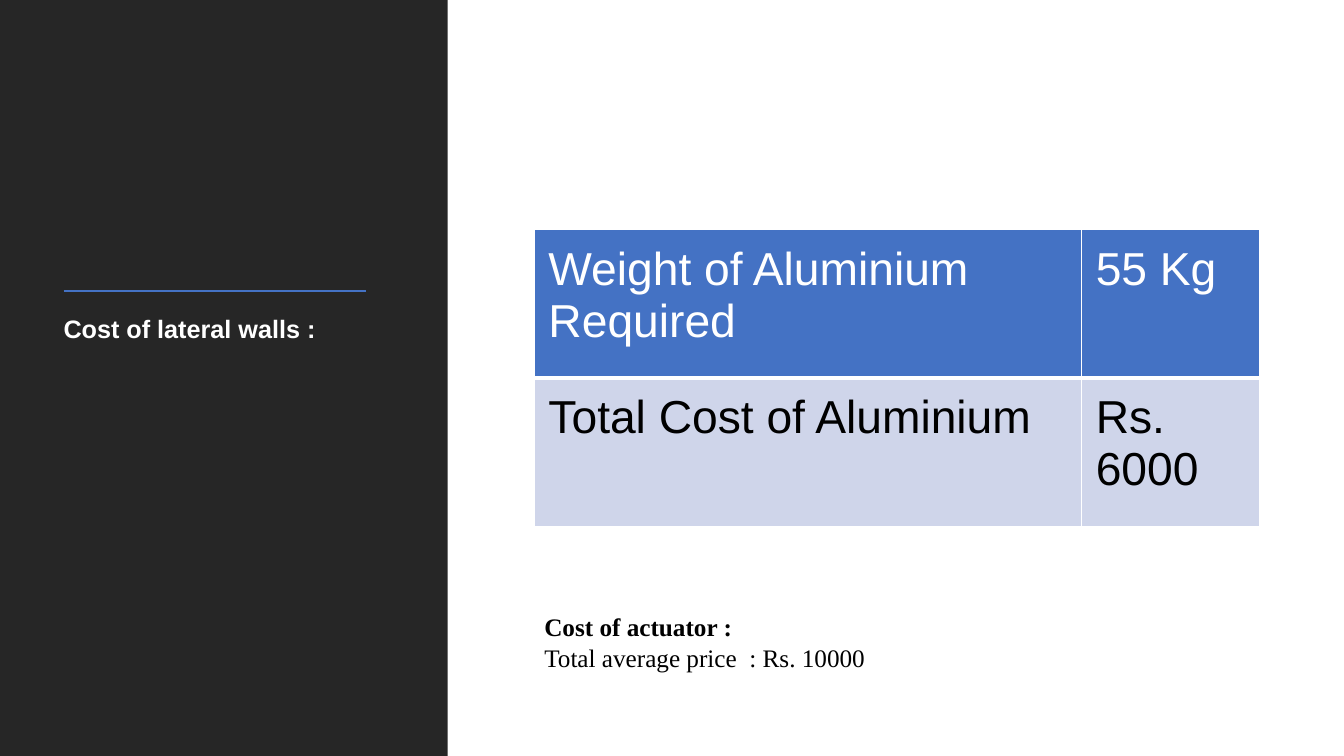
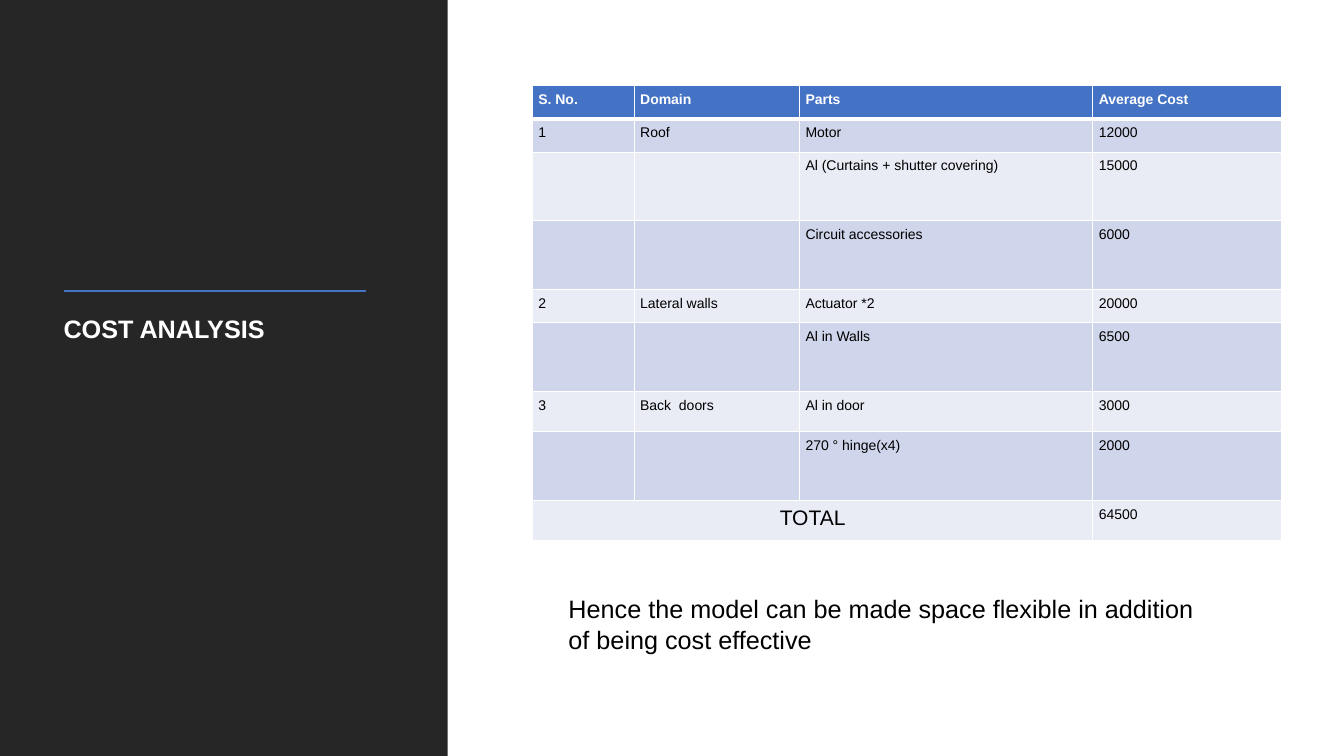
from lxml import etree
from pptx import Presentation, util as u
from pptx.dml.color import RGBColor
from pptx.enum import shapes, text
from pptx.oxml.ns import qn

W, H = 13.33, 7.5
SLIDE = (0, 0, W, H)
SANS, SERIF = "Arial", "Times New Roman"
NBSP = chr(160)
COLORS = {
    "panel": "262626", "accent": "4472C4", "white": "FFFFFF", "black": "000000",
    "band_dark": "CFD5EA", "band_light": "E9EBF5",
}


def rgb(name):
    return RGBColor.from_string(COLORS[name])


def within(box, x, y, w, h):
    """Box in inches from percentages of a parent box."""
    left, top, width, height = box
    return (left + width * x / 100, top + height * y / 100,
            width * w / 100, height * h / 100)


def emu(box):
    return [u.Inches(v) for v in box]


def style(p, size, color="black", bold=False, font=SANS):
    p.font.size, p.font.name, p.font.bold = u.Pt(size), font, bold
    p.font.color.rgb = rgb(color)


def add_text(s, box, lines, size=18, color="black", font=SANS,
             bold_first=False, side_inset=0.1):
    tf = s.shapes.add_textbox(*emu(box)).text_frame
    tf.word_wrap = True
    tf.margin_left = tf.margin_right = u.Inches(side_inset)
    for i, line in enumerate(lines):
        p = tf.add_paragraph() if i else tf.paragraphs[0]
        p.text = line
        style(p, size, color, bold_first and i == 0, font)


def add_panel(s, box, title):
    """Dark side panel with a rule above the title."""
    sp = s.shapes.add_shape(shapes.MSO_SHAPE.RECTANGLE, *emu(box))
    sp.shadow.inherit = False
    sp.fill.solid()
    sp.fill.fore_color.rgb = rgb("panel")
    sp.line.fill.background()

    x, y, w, _ = emu(within(box, 14.2, 38.53, 67.6, 0))
    rule = s.shapes.add_connector(shapes.MSO_CONNECTOR.STRAIGHT, x, y, x + w, y)
    rule.line.color.rgb = rgb("accent")
    rule.line.width = u.Pt(1.5)
    etree.SubElement(rule._element.spPr, qn("a:effectLst"))

    add_text(s, within(box, 14.2, 40.8, 74.1, 46.5), [title],
             color="white", bold_first=True, side_inset=0)


def set_borders(cell, bottom):
    tcPr = cell._tc.get_or_add_tcPr()
    for side, width in zip("LRTB", (1, 1, 1, bottom)):
        ln = etree.SubElement(tcPr, qn(f"a:ln{side}"), w=str(u.Pt(width)))
        fill = etree.SubElement(ln, qn("a:solidFill"))
        etree.SubElement(fill, qn("a:srgbClr"), val=COLORS["white"])


def add_table(s, box, rows, col_shares, row_shares, size, inset, bold_header):
    """Banded table whose columns and rows share out the box."""
    frame = s.shapes.add_table(len(rows), len(col_shares), *emu(box))
    table = frame.table
    for col, share in zip(table.columns, col_shares):
        col.width = u.Inches(box[2] * share / sum(col_shares))
    for row, share in zip(table.rows, row_shares):
        row.height = u.Inches(box[3] * share / sum(row_shares))
    for r, values in enumerate(rows):
        header = r == 0
        band = "accent" if header else "band_dark" if r % 2 else "band_light"
        for c, value in enumerate(values):
            cell = table.cell(r, c)
            cell.margin_left = cell.margin_right = u.Inches(inset)
            cell.margin_top = cell.margin_bottom = u.Inches(inset)
            set_borders(cell, 3 if header else 1)
            cell.fill.solid()
            cell.fill.fore_color.rgb = rgb(band)
            p = cell.text_frame.paragraphs[0]
            p.text = value
            style(p, size, "white" if header else "black", header and bold_header)
    return table


def new_slide(prs, title):
    s = prs.slides.add_slide(prs.slide_layouts[6])
    add_panel(s, within(SLIDE, 0, 0, 33.3, 100), title)
    return s


def lateral_walls_slide(prs):
    s = new_slide(prs, "Cost of lateral walls :")
    rows = [("Weight of Aluminium Required", "55 Kg"),
            ("Total Cost of Aluminium", "Rs. 6000")]
    add_table(s, within(SLIDE, 39.76, 30.4, 54, 39.2), rows, (5.43, 1.77), (1, 1),
              size=33, inset=0.14, bold_header=False)
    add_text(s, within(SLIDE, 39.76, 80.27, 34.5, 9.47),
             ["Cost of actuator :", f"Total average price{NBSP} : Rs. 10000"],
             font=SERIF, bold_first=True)


def cost_analysis_slide(prs):
    s = new_slide(prs, "COST ANALYSIS")
    rows = [("S. No.", "Domain", "Parts", "Average Cost"),
            ("1", "Roof", "Motor", "12000"),
            ("", "", "Al (Curtains + shutter covering)", "15000"),
            ("", "", "Circuit accessories", "6000"),
            ("2", "Lateral walls", "Actuator *2", "20000"),
            ("", "", "Al in Walls", "6500"),
            ("3", f"Back{NBSP} doors", "Al in door", "3000"),
            ("", "", "270 ° hinge(x4)", "2000"),
            ("TOTAL", "", "", "64500")]
    heights = (0.33, 0.33, 0.68, 0.68, 0.33, 0.68, 0.4, 0.68, 0.4)
    table = add_table(s, within(SLIDE, 39.61, 11.33, 55.74, 60.2), rows,
                      (1.01, 1.64, 2.91, 1.87), heights,
                      size=10, inset=0.06, bold_header=True)
    # Total row
    total = table.cell(len(rows) - 1, 0)
    total.merge(table.cell(len(rows) - 1, 2))
    p = total.text_frame.paragraphs[0]
    p.alignment = text.PP_ALIGN.CENTER
    p.font.size = u.Pt(15)
    # Conclusion
    add_text(s, within(SLIDE, 41.56, 77.87, 51.46, 9.47),
             ["Hence the model can be made space flexible in addition "
              f"of{NBSP}being cost effective"])


def main():
    prs = Presentation()
    prs.slide_width, prs.slide_height = u.Inches(W), u.Inches(H)
    lateral_walls_slide(prs)
    cost_analysis_slide(prs)
    prs.save("out.pptx")


if __name__ == "__main__":
    main()
